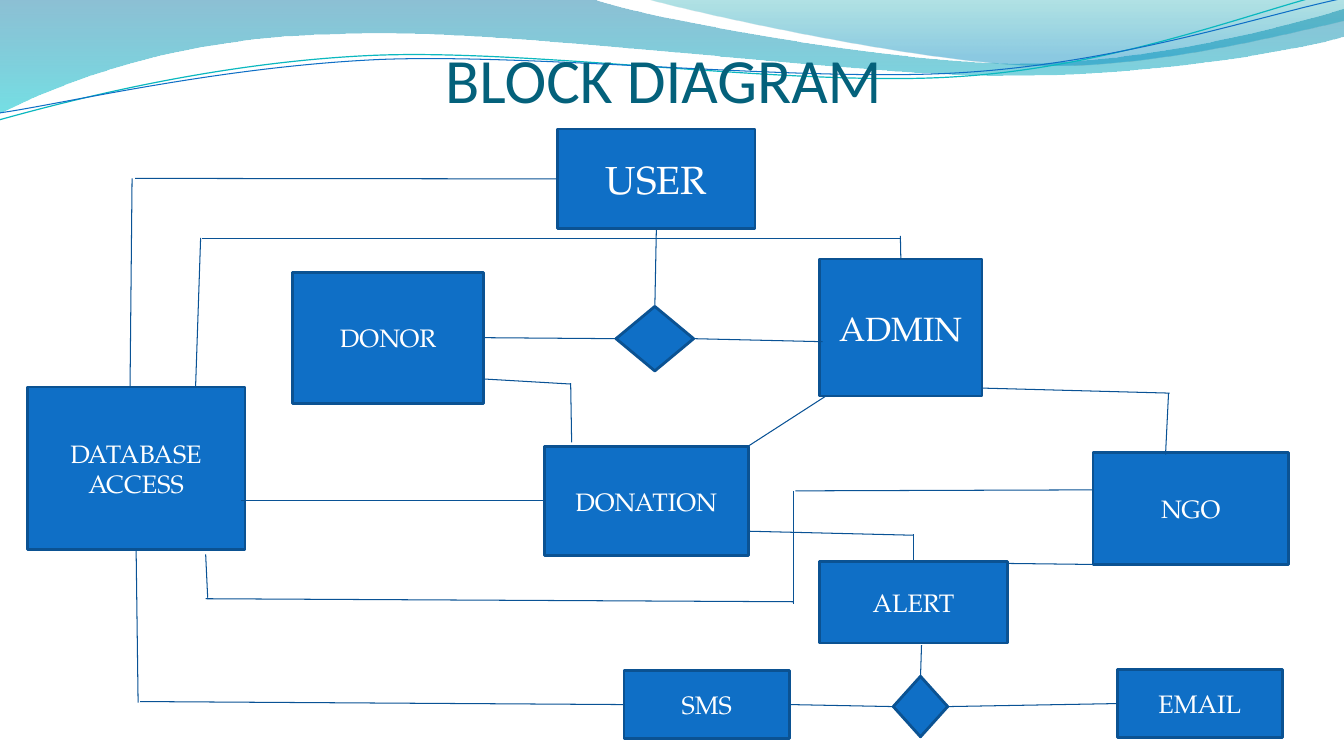
import dataclasses
import math

import lxml.etree
import pptx
import pptx.dml.color
import pptx.enum.shapes
import pptx.enum.text
import pptx.oxml.ns
import pptx.util

Inches = pptx.util.Inches
Pt = pptx.util.Pt
qn = pptx.oxml.ns.qn
rgb = pptx.dml.color.RGBColor.from_string
MSO_SHAPE = pptx.enum.shapes.MSO_SHAPE


@dataclasses.dataclass(frozen=True)
class Theme:
    block: str = "0F6FC6"
    border: str = "0B5292"
    link: str = "095295"
    heading: str = "04617B"
    label: str = "FFFFFF"
    heading_font: str = "Calibri"
    label_font: str = "TeX Gyre Pagella"
    heading_size: float = 45
    user_size: float = 28
    admin_size: float = 24
    label_size: float = 18
    # Gradient stops: position, colour, opacity in percent
    back_wave: tuple = ((0, "0074A1", 45), (1, "00C6CF", 55))
    front_wave: tuple = ((0, "00A1A9", 30), (0.8, "008BBF", 45))
    teal_line: str = "0AB8BF"
    blue_line: str = "0F6FC6"


theme = Theme()


def add_outline(start, segments, close):
    """Outline from segments of one point (line) or three points (Bezier curve)."""
    points = [point for segment in segments for point in segment]
    builder = slide.shapes.build_freeform(*map(Inches, start), scale=1.0)
    builder.add_line_segments([tuple(map(Inches, point)) for point in points], close=close)
    outline = builder.convert_to_shape()
    outline.shadow.inherit = False
    corners = iter(list(outline.element.spPr.iter(qn("a:lnTo"))))
    for segment in segments:
        parts = [next(corners) for _ in segment]
        if len(parts) == 3:
            curve = lxml.etree.Element(qn("a:cubicBezTo"))
            parts[0].addprevious(curve)
            for part in parts:
                curve.append(part[0])
                part.getparent().remove(part)
    return outline


deck = pptx.Presentation()
deck.slide_width, deck.slide_height = Inches(13.33), Inches(7.5)
slide = deck.slides.add_slide(deck.slide_layouts[6])

# Header waves
waves = [
    (theme.back_wave, (0, 0), [
        [(5.87, -0.01)],
        [(6.34, 0.17), (8.85, 0.63), (10.11, 0.63)],
        [(11.38, 0.63), (12.78, 0.26), (13.33, 0.09)],
        [(13.35, 0.36)],
        [(13.11, 0.44), (11.6, 0.76), (9.94, 0.75)],
        [(8.29, 0.75), (5.09, 0.28), (3.43, 0.34)],
        [(1.72, 0.36), (0.61, 0.83), (-0.01, 1.13)],
        [(0, 0)],
    ]),
    (theme.front_wave, (6.39, -0.01), [
        [(6.79, 0.11), (9.09, 0.62), (10.25, 0.65)],
        [(11.41, 0.69), (12.82, 0.32), (13.33, 0.21)],
        [(13.33, 0)],
        [(6.39, -0.01)],
    ]),
]
for stops, start, segments in waves:
    wave = add_outline(start, segments, close=True)
    wave.line.fill.background()
    wave.fill.gradient()
    wave.fill.gradient_angle = 270
    for stop, (position, color, _) in zip(wave.fill.gradient_stops, stops):
        stop.position = position
        stop.color.rgb = rgb(color)
    for tint, (_, _, opacity) in zip(wave.element.spPr.iter(qn("a:srgbClr")), stops):
        lxml.etree.SubElement(tint, qn("a:alpha"), val=str(opacity * 1000))

# Header lines: colour, width, centre, curve points; drawn level, then tilted
TILT = -2.7
cos, sin = math.cos(math.radians(TILT)), math.sin(math.radians(TILT))
strands = [
    (theme.teal_line, 0.85, (6.65, 0.575), [
        (-0.01, 1.19), (0.64, 1.01), (2.11, 0.62), (3.69, 0.55), (5.27, 0.48),
        (7.9, 0.87), (9.5, 0.76), (11.1, 0.66), (12.52, 0.08), (13.31, -0.1)]),
    (theme.blue_line, 0.75, (6.67, 0.59), [
        (0, 1.12), (0.63, 1.03), (2.18, 0.66), (3.78, 0.59), (5.37, 0.53),
        (7.96, 0.82), (9.55, 0.72), (11.15, 0.62), (12.55, 0.14), (13.34, -0.02)]),
]
for color, width, (cx, cy), points in strands:
    start, *level = [(cx + (x - cx) * cos + (y - cy) * sin,
                      cy - (x - cx) * sin + (y - cy) * cos) for x, y in points]
    strand = add_outline(start, [level[i:i + 3] for i in range(0, 9, 3)], close=False)
    strand.rotation = TILT
    strand.fill.background()
    strand.line.color.rgb = rgb(color)
    strand.line.width = Pt(width)

# Title
title = slide.shapes.add_textbox(Inches(2.22), Inches(0.46), Inches(8.72), Inches(0.69))
frame = title.text_frame
frame.word_wrap = True
frame.vertical_anchor = pptx.enum.text.MSO_ANCHOR.BOTTOM
frame.margin_left = frame.margin_right = frame.margin_bottom = 0
frame.margin_top = Inches(0.05)
frame.text = "BLOCK DIAGRAM"
frame.paragraphs[0].alignment = pptx.enum.text.PP_ALIGN.CENTER
heading = frame.paragraphs[0].runs[0].font
heading.name, heading.size = theme.heading_font, Pt(theme.heading_size)
heading.color.rgb = rgb(theme.heading)

# Blocks and decision diamonds: left, top, width, height, text, size
blocks = {
    "donor": (2.9, 2.7, 1.9, 1.3, "DONOR", theme.label_size),
    "admin": (8.13, 2.57, 1.61, 1.36, "ADMIN", theme.admin_size),
    "database": (0.27, 3.84, 2.16, 1.61, "DATABASE\nACCESS", theme.label_size),
    "donation": (5.4, 4.43, 2.02, 1.08, "DONATION", theme.label_size),
    "ngo": (10.84, 4.49, 1.94, 1.11, "NGO", theme.label_size),
    "alert": (8.13, 5.57, 1.86, 0.81, "ALERT", theme.label_size),
    "user": (5.53, 1.28, 1.96, 0.99, "USER", theme.user_size),
    "role": (6.11, 3.04, 0.77, 0.64, "", None),
    "channel": (8.86, 6.71, 0.54, 0.6, "", None),
    "email": (11.08, 6.64, 1.64, 0.68, "EMAIL", theme.label_size),
    "sms": (6.19, 6.65, 1.64, 0.68, "SMS", theme.label_size),
}
nodes = {}
for name, (*box, text, size) in blocks.items():
    preset = MSO_SHAPE.RECTANGLE if text else MSO_SHAPE.DIAMOND
    node = nodes[name] = slide.shapes.add_shape(preset, *map(Inches, box))
    node.shadow.inherit = False
    node.fill.solid()
    node.fill.fore_color.rgb = rgb(theme.block)
    node.line.color.rgb = rgb(theme.border)
    node.line.width = Pt(2)
    if not text:
        continue
    node.text_frame.text = text
    node.text_frame.vertical_anchor = pptx.enum.text.MSO_ANCHOR.MIDDLE
    for paragraph in node.text_frame.paragraphs:
        paragraph.alignment = pptx.enum.text.PP_ALIGN.CENTER
        for run in paragraph.runs:
            run.font.name, run.font.size = theme.label_font, Pt(size)
            run.font.color.rgb = rgb(theme.label)

# Links: each end is a point or a block with its side
TOP, LEFT, BOTTOM, RIGHT = range(4)
links = [
    (("user", BOTTOM), ("role", TOP)), (("donor", RIGHT), ("role", LEFT)),
    ((8.16, 3.39), ("role", RIGHT)), ((1.34, 1.77), ("user", LEFT)),
    ((1.29, 3.84), (1.31, 1.77)), ((4.8, 3.76), (5.66, 3.81)),
    ((5.66, 3.8), (5.67, 4.39)), (("sms", RIGHT), ("channel", LEFT)),
    (("channel", RIGHT), ("email", LEFT)), (("database", BOTTOM), (1.37, 6.97)),
    (("sms", LEFT), (1.39, 6.96)), ((9.14, 6.4), ("channel", TOP)),
    ((11.6, 3.9), (9.74, 3.85)), ((11.56, 4.51), (11.59, 3.9)),
    ((8.93, 2.34), ("admin", TOP)), ((8.94, 2.37), (2, 2.37)),
    ((1.99, 2.36), (1.94, 3.84)), (("donation", LEFT), (2.39, 4.97)),
    ((10.83, 4.86), (7.89, 4.87)), ((7.87, 4.87), (7.87, 5.99)),
    ((2.04, 5.94), (7.87, 5.97)), ((2.04, 5.5), (2.06, 5.93)),
    ((7.41, 5.27), (9.06, 5.31)), ((9.06, 5.3), ("alert", TOP)),
    ((8.19, 3.93), (7.4, 4.44)), ((10, 5.59), (10.87, 5.6)),
]
for ends in links:
    corners = [(0, 0) if end[0] in nodes else end for end in ends]
    link = slide.shapes.add_connector(pptx.enum.shapes.MSO_CONNECTOR.STRAIGHT,
                                      *(Inches(v) for corner in corners for v in corner))
    for join, (place, side) in zip((link.begin_connect, link.end_connect), ends):
        if place in nodes:
            join(nodes[place], side)
    link.line.color.rgb = rgb(theme.link)
    link.line.width = Pt(0.75)
    lxml.etree.SubElement(link.element.spPr, qn("a:effectLst"))

deck.save("out.pptx")
